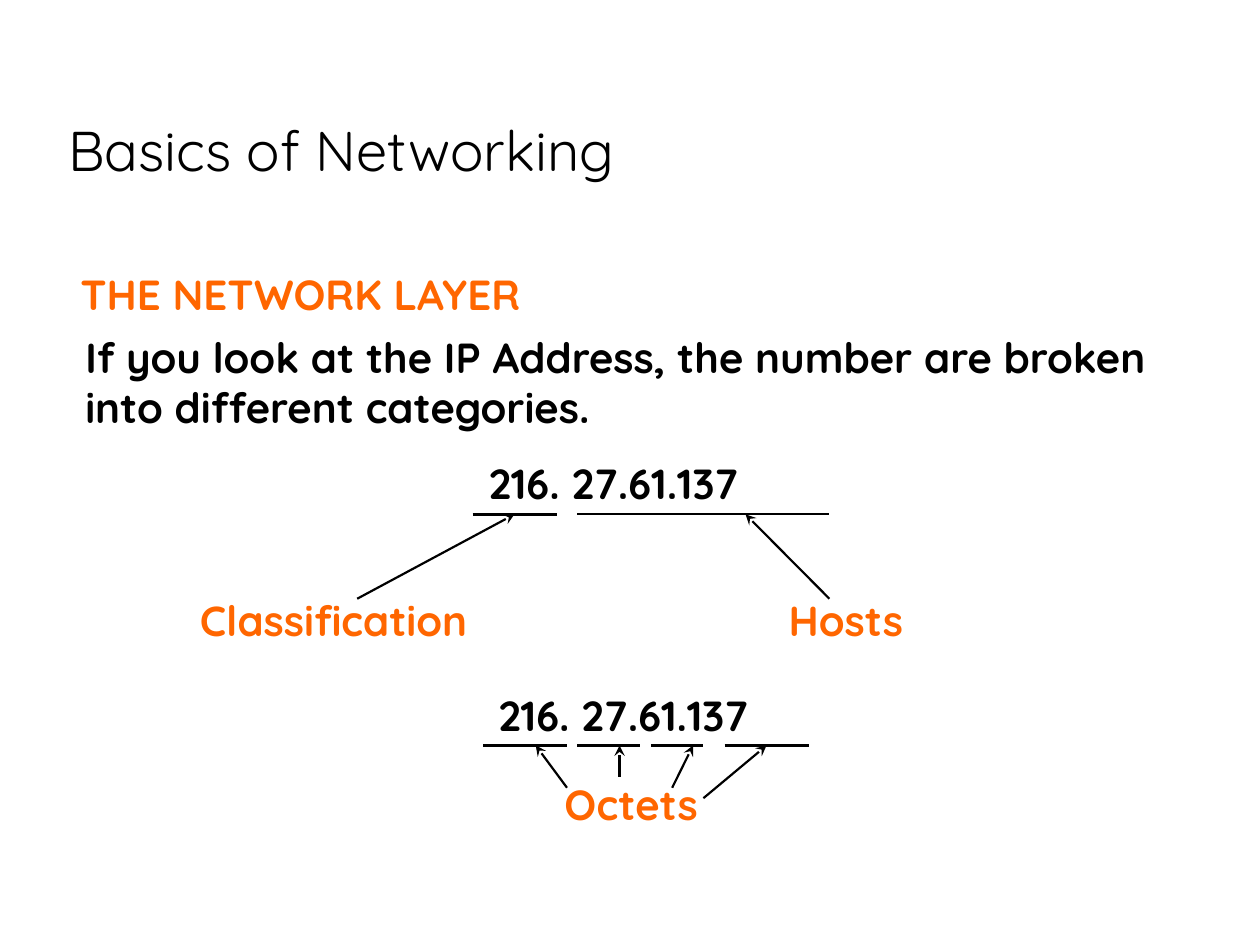
import pptx
import pptx.dml.color
import pptx.enum.shapes
import pptx.enum.text
import pptx.oxml
import pptx.oxml.ns
import pptx.util
from pptx.util import Cm

BLACK = "000000"
ORANGE = "FF6600"


def color(hex_code):
    return pptx.dml.color.RGBColor.from_string(hex_code)


class SlideWriter:
    font_name = "Quicksand"
    title_size = 32
    body_size = 24
    line_height = 1.27

    def __init__(self, slide):
        self.slide = slide
        self.shapes = slide.shapes

    def start_group(self):
        self.shapes = self.slide.shapes.add_group_shape().shapes

    def style(self, paragraph, size, hex_code, bold):
        paragraph.font.name = self.font_name
        paragraph.font.size = pptx.util.Pt(size)
        paragraph.font.bold = bold
        paragraph.font.color.rgb = color(hex_code)
        paragraph.alignment = pptx.enum.text.PP_ALIGN.LEFT

    def title(self, text, left, top, width, height):
        heading = self.slide.shapes.title
        heading.left, heading.top = Cm(left), Cm(top)
        heading.width, heading.height = Cm(width), Cm(height)
        frame = heading.text_frame
        frame.text = text
        frame.vertical_anchor = pptx.enum.text.MSO_ANCHOR.BOTTOM
        self.style(frame.paragraphs[0], self.title_size, BLACK, False)

    def text(self, lines, left, top, width, hex_code=BLACK):
        height = self.line_height + (len(lines) - 1) * 1.02
        box = self.shapes.add_textbox(Cm(left), Cm(top), Cm(width), Cm(height))
        frame = box.text_frame
        frame.word_wrap = False
        frame.auto_size = pptx.enum.text.MSO_AUTO_SIZE.SHAPE_TO_FIT_TEXT
        frame.text = "\n".join(lines)
        for paragraph in frame.paragraphs:
            self.style(paragraph, self.body_size, hex_code, True)

    def line(self, x1, y1, x2, y2, weight=1.25, arrow=False):
        connector = self.shapes.add_connector(
            pptx.enum.shapes.MSO_CONNECTOR.STRAIGHT, Cm(x1), Cm(y1), Cm(x2), Cm(y2))
        connector.line.color.rgb = color(BLACK)
        connector.line.width = pptx.util.Pt(weight)
        if arrow:
            pptx.oxml.ns.qn("a:tailEnd")
            connector.line._get_or_add_ln().append(pptx.oxml.parse_xml(
                f'<a:tailEnd {pptx.oxml.ns.nsdecls("a")} type="stealth"/>'))
        connector._element.spPr.append(pptx.oxml.parse_xml(
            f'<a:effectLst {pptx.oxml.ns.nsdecls("a")}/>'))


def main():
    deck = pptx.Presentation()
    deck.slide_width, deck.slide_height = Cm(25.4), Cm(19.05)
    writer = SlideWriter(deck.slides.add_slide(deck.slide_layouts[5]))
    address = ["216. 27.61.137"]

    # Title and introduction
    writer.title("Basics of Networking", 1.12, 0.64, 21.59, 3.18)
    writer.text(["THE NETWORK LAYER"], 1.37, 5.28, 9.45, ORANGE)
    writer.text(["If you look at the IP Address, the number are broken",
                 "into different categories."], 1.47, 6.55, 22.76)

    # Address split into classification and hosts
    writer.start_group()
    split_y, label_y = 10.37, 12.07
    writer.text(address, 9.6, 9.09, 6.3)
    writer.text(["Classification"], 3.78, 11.86, 6.15, ORANGE)
    writer.text(["Hosts"], 15.65, 11.86, 2.9, ORANGE)
    for start, end, weight in [(11.64, 16.72, 1.25), (9.53, 11.22, 1.5)]:
        writer.line(start, split_y, end, split_y, weight)
    for label_x, part_x in [(16.72, 15.03), (7.2, 10.37)]:
        writer.line(label_x, label_y, part_x, split_y, arrow=True)

    # Address split into four octets
    writer.start_group()
    octet_y = 15.03
    writer.text(address, 9.8, 13.77, 6.3)
    writer.text(["Octets"], 11.13, 15.57, 3.28, ORANGE)
    for start, end in [(9.74, 11.43), (11.64, 12.91), (13.12, 14.18), (14.61, 16.3)]:
        writer.line(start, octet_y, end, octet_y, 1.5)
    for label_x, start_y, octet_x in [(11.43, 15.88, 10.8), (12.49, 15.66, 12.49),
                                      (13.55, 15.88, 13.97), (14.18, 16.09, 15.45)]:
        writer.line(label_x, start_y, octet_x, octet_y, arrow=True)

    deck.save("out.pptx")


if __name__ == "__main__":
    main()
